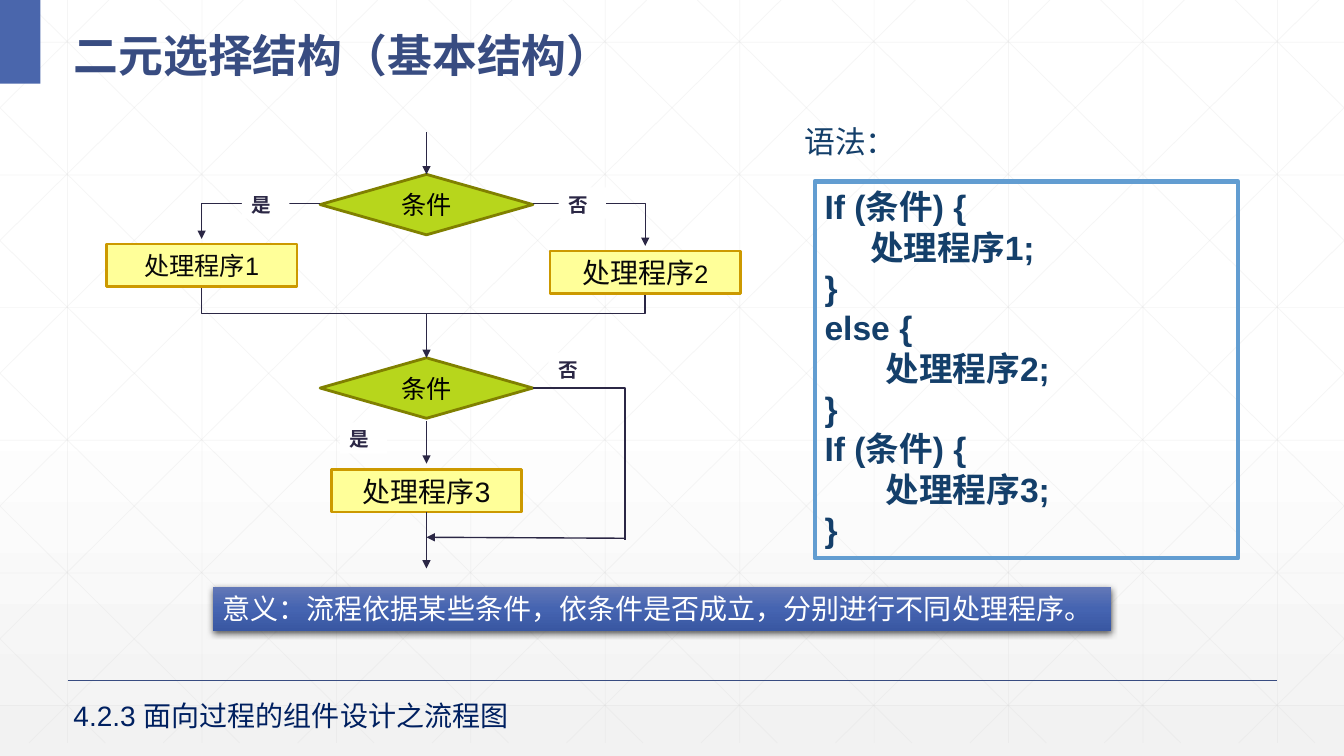
from copy import deepcopy

from lxml import etree
from pptx import Presentation
from pptx.dml.color import RGBColor
from pptx.enum.shapes import MSO_CONNECTOR, MSO_SHAPE
from pptx.enum.text import MSO_ANCHOR, MSO_AUTO_SIZE, PP_ALIGN
from pptx.oxml.ns import qn
from pptx.util import Inches, Pt

STRAIGHT, ELBOW = MSO_CONNECTOR.STRAIGHT, MSO_CONNECTOR.ELBOW
RECT, DIAMOND = MSO_SHAPE.RECTANGLE, MSO_SHAPE.DIAMOND
TOP, MIDDLE = MSO_ANCHOR.TOP, MSO_ANCHOR.MIDDLE
LEFT, CENTER = PP_ALIGN.LEFT, PP_ALIGN.CENTER
TOP_SITE, BOTTOM_SITE = 0, 2

LATIN, CJK = "Arial", "Noto Sans CJK SC"
WHITE = RGBColor(0xFF, 0xFF, 0xFF)
BLACK = RGBColor(0x00, 0x00, 0x00)
PALE_GRAY = RGBColor(0xF2, 0xF2, 0xF2)
GRID_GRAY = RGBColor(0xD9, 0xD9, 0xD9)
ACCENT = RGBColor(0x4A, 0x66, 0xAC)
TITLE_BLUE = RGBColor(0x38, 0x4C, 0x81)
CODE_BLUE = RGBColor(0x14, 0x3F, 0x6A)
CODE_FRAME = RGBColor(0x62, 0x9D, 0xD1)
FOOTER_BLUE = RGBColor(0x00, 0x20, 0x60)
FLOW_INK = RGBColor(0x2B, 0x27, 0x45)
STEP_FILL = RGBColor(0xFF, 0xFF, 0x99)
STEP_LINE = RGBColor(0xCC, 0x99, 0x00)
STEP_TEXT = RGBColor(0x08, 0x08, 0x08)
TEST_FILL = RGBColor(0xB7, 0xD6, 0x1C)
TEST_LINE = RGBColor(0x80, 0x80, 0x00)
BANNER_STOPS = [(0, RGBColor(0x63, 0x78, 0xB7)), (0.5, RGBColor(0x45, 0x64, 0xB1)),
                (1, RGBColor(0x39, 0x57, 0xA2))]

CODE = """If (条件) {
      处理程序1;
}
else {
        处理程序2;
}
If (条件) {
        处理程序3;
}"""


def write(shape, text, size, color, bold=False, align=LEFT, anchor=TOP, wrap=True, font=LATIN):
    frame = shape.text_frame
    frame.text = text
    frame.word_wrap = wrap
    frame.vertical_anchor = anchor
    for paragraph in frame.paragraphs:
        paragraph.alignment = align
        style = paragraph.font
        style.size, style.bold, style.name = Pt(size), bold, font
        style.color.rgb = color
        etree.SubElement(style._element, qn("a:ea"), typeface=CJK)


def add_text(slide, left, top, width, height, text, size, color, **style):
    box = slide.shapes.add_textbox(Inches(left), Inches(top), Inches(width), Inches(height))
    write(box, text, size, color, **style)


def add_block(slide, kind, left, top, width, height, fill=None, line=None, weight=2):
    block = slide.shapes.add_shape(kind, Inches(left), Inches(top), Inches(width), Inches(height))
    block.shadow.inherit = False
    if fill is None:
        block.fill.background()
    else:
        block.fill.solid()
        block.fill.fore_color.rgb = fill
    if line is None:
        block.line.fill.background()
    else:
        block.line.color.rgb = line
        block.line.width = Pt(weight)
    return block


def add_line(slide, start, end, color=FLOW_INK, weight=1, arrow=False, corner=False):
    line = slide.shapes.add_connector(ELBOW if corner else STRAIGHT,
                                      *(Inches(value) for value in (*start, *end)))
    line.line.color.rgb = color
    line.line.width = Pt(weight)
    properties = line.element.spPr
    if corner:  # one bend: across, then down
        properties.find(qn("a:prstGeom")).set("prst", "bentConnector2")
    if arrow:
        etree.SubElement(properties.find(qn("a:ln")), qn("a:tailEnd"), type="triangle")
    etree.SubElement(properties, qn("a:effectLst"))
    return line


def set_gradient(fill, stops):
    fill.gradient()
    fill.gradient_angle = 270
    first = fill.gradient_stops[0]._gs
    for _ in range(len(stops) - 2):
        first.addnext(deepcopy(first))
    for stop, (position, color) in zip(fill.gradient_stops, stops):
        stop.position = position
        stop.color.rgb = color


def draw_backdrop(slide, width, height):
    set_gradient(slide.background.fill, [(0.53, WHITE), (1, PALE_GRAY)])
    bottom, step, run = 7.37, 4 / 3, 7.46
    segments = [((0.67 + step * i, 0), (0.67 + step * i, bottom)) for i in range(10)]
    segments += [((0, 0.42 + 1.316 * i), (width, 0.42 + 1.316 * i)) for i in range(6)]
    # Diagonals, cut at the slide's sides, with their mirror images
    for i in range(-5, 10):
        foot = 0.25 + step * i
        x1, x2 = max(foot, 0), min(foot + run, width)
        y1, y2 = ((x - foot) * bottom / run for x in (x1, x2))
        segments += [((x1, y1), (x2, y2)), ((width - x1, y1), (width - x2, y2))]
    for start, end in segments:
        line = add_line(slide, start, end, GRID_GRAY, 0.5)
        for color in line.element.spPr.iter(qn("a:srgbClr")):
            etree.SubElement(color, qn("a:alpha"), val="25000")
    add_line(slide, (0.67, 6.75), (12.67, 6.75), TITLE_BLUE)
    add_block(slide, RECT, 0, 0, 0.4, 0.83, ACCENT)


def place_title(slide, left, top, width, height):
    title = slide.shapes.title
    title.left, title.top, title.width, title.height = map(Inches, (left, top, width, height))
    write(title, "二元选择结构（基本结构）", 32, TITLE_BLUE, bold=True, anchor=MIDDLE, font=CJK)
    title.text_frame.auto_size = MSO_AUTO_SIZE.NONE
    title.text_frame.paragraphs[0].line_spacing = 1.3
    slide.shapes._spTree.append(title.element)  # in front of the grid


def draw_flowchart(slide, left, top):
    yes_x, main_x, no_x, bypass_x = (left + x for x in (0.95, 3.18, 5.35, 5.15))
    test_width, test_height = 2.11, 0.6
    step_width, step_height = 1.89, 0.42
    test_left, test_right = main_x - test_width / 2, main_x + test_width / 2

    def add_step(center, y, text, size):
        step = add_block(slide, RECT, center - step_width / 2, top + y,
                         step_width, step_height, STEP_FILL, STEP_LINE)
        write(step, text, size, STEP_TEXT, align=CENTER, anchor=MIDDLE)
        return step

    def add_test(y):
        test = add_block(slide, DIAMOND, test_left, top + y, test_width, test_height,
                         TEST_FILL, TEST_LINE)
        write(test, "条件", 18, BLACK, align=CENTER, anchor=MIDDLE)
        return test

    # Tests and steps
    first_test, second_test = add_test(0.42), add_test(2.24)
    add_step(yes_x, 1.11, "处理程序1", 18)
    no_step = add_step(no_x, 1.18, "处理程序", 20)
    number = no_step.text_frame.paragraphs[0].add_run()
    number.text = "2"
    number.font.size = Pt(18)
    last_step = add_step(main_x, 3.35, "处理程序3", 20)

    # Main path
    entry, merged, _, leaving = [
        add_line(slide, (main_x, top + y1), (main_x, top + y2), arrow=True)
        for y1, y2 in ((0, 0.42), (1.81, 2.22), (2.87, 3.29), (3.78, 4.33))]
    entry.end_connect(first_test, TOP_SITE)
    merged.end_connect(second_test, TOP_SITE)
    leaving.begin_connect(last_step, BOTTOM_SITE)

    # Branches, their merge and the bypass
    add_line(slide, (test_left, top + 0.71), (yes_x, top + 1.06), arrow=True, corner=True)
    add_line(slide, (test_right, top + 0.71), (no_x, top + 1.13), arrow=True, corner=True)
    path = slide.shapes.build_freeform(Inches(yes_x), Inches(top + 1.55))
    path.add_line_segments([(Inches(x), Inches(top + y)) for x, y in
                            ((yes_x, 1.8), (no_x, 1.8), (no_x, 1.62))], close=False)
    merge = path.convert_to_shape()
    merge.shadow.inherit = False
    merge.fill.background()
    merge.line.color.rgb = FLOW_INK
    merge.line.width = Pt(1.25)
    add_line(slide, (test_right, top + 2.54), (bypass_x, top + 4.05), corner=True)
    add_line(slide, (bypass_x, top + 4.03), (main_x, top + 4.02), arrow=True)

    # Branch labels
    for answer, x, y in (("是", 1.35, 0.55), ("否", 4.49, 0.55),
                         ("是", 2.32, 2.88), ("否", 4.39, 2.19)):
        label = add_block(slide, RECT, left + x, top + y, 0.47, 0.31, WHITE)
        write(label, answer, 14, FLOW_INK, bold=True, wrap=False)


def draw_syntax(slide, left, top):
    add_text(slide, left, top, 3.31, 0.47, "语法：", 22, CODE_BLUE, font=CJK)
    code = add_block(slide, RECT, left + 0.2, top + 0.63, 4.2, 3.74, line=CODE_FRAME, weight=3)
    write(code, CODE, 24, CODE_BLUE, bold=True)


def draw_meaning(slide, left, top, width, height):
    banner = add_block(slide, RECT, left, top, width, height)
    set_gradient(banner.fill, BANNER_STOPS)
    shadow = etree.SubElement(banner.element.spPr.find(qn("a:effectLst")), qn("a:outerShdw"),
                              blurRad=str(Pt(4.5)), dist=str(Pt(1.5)), dir="5400000")
    shade = etree.SubElement(shadow, qn("a:srgbClr"), val="000000")
    etree.SubElement(shade, qn("a:alpha"), val="63000")
    write(banner, "意义：流程依据某些条件，依条件是否成立，分别进行不同处理程序。", 20, WHITE)


def main():
    deck = Presentation()
    deck.slide_width, deck.slide_height = Inches(13.33), Inches(7.5)
    slide = deck.slides.add_slide(deck.slide_layouts[5])
    draw_backdrop(slide, 13.33, 7.5)
    place_title(slide, 0.63, 0.1, 12.42, 0.73)
    draw_syntax(slide, 7.88, 1.17)
    draw_flowchart(slide, 1.05, 1.31)
    draw_meaning(slide, 2.11, 5.82, 8.91, 0.44)
    add_text(slide, 0.63, 6.88, 4.69, 0.44, "4.2.3 面向过程的组件设计之流程图", 20, FOOTER_BLUE)
    deck.save("out.pptx")


if __name__ == "__main__":
    main()
